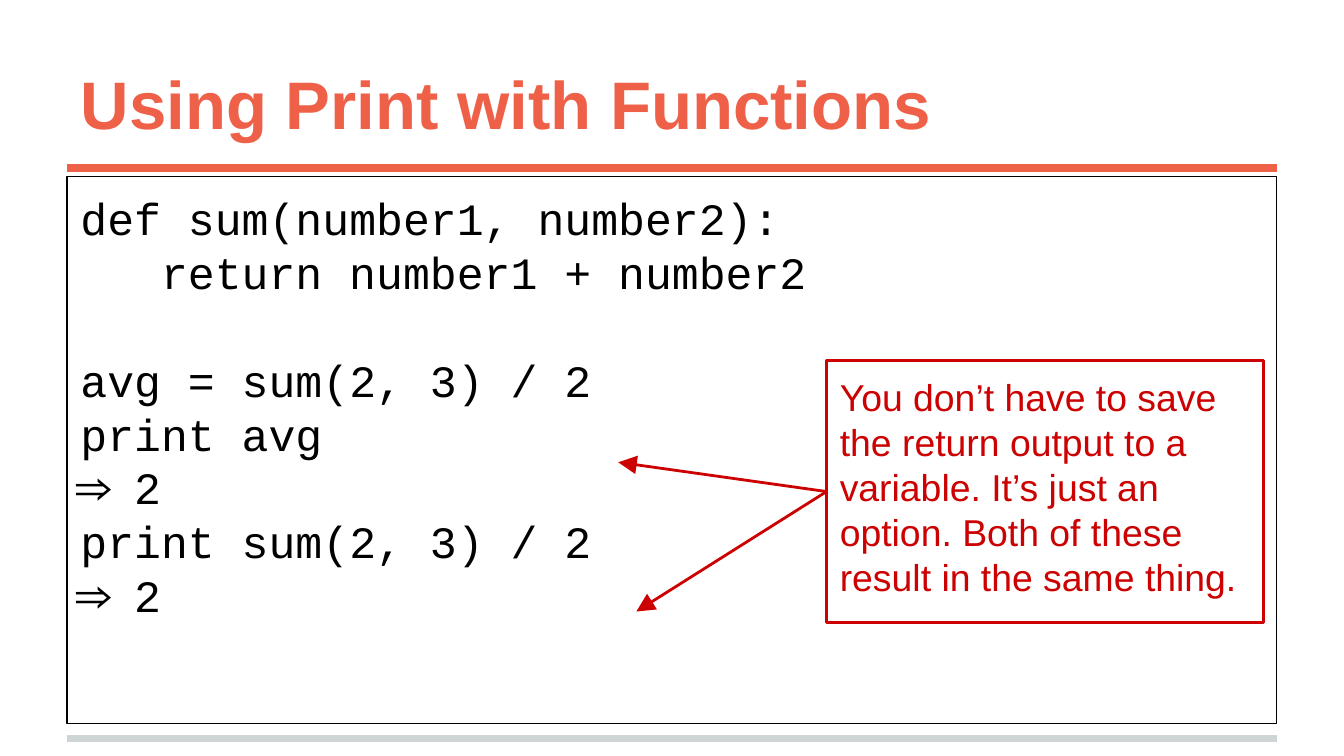
"""Build the slide on using print with functions."""
from dataclasses import dataclass

from lxml import etree
from pptx import Presentation
from pptx.dml.color import RGBColor
from pptx.enum.shapes import MSO_CONNECTOR, MSO_SHAPE
from pptx.enum.text import MSO_ANCHOR, MSO_AUTO_SIZE, PP_ALIGN
from pptx.oxml.ns import qn
from pptx.shapes.autoshape import Shape
from pptx.shapes.connector import Connector
from pptx.slide import Slide
from pptx.text.text import TextFrame
from pptx.util import Emu, Pt

STRAIGHT = MSO_CONNECTOR.STRAIGHT
RECTANGLE = MSO_SHAPE.RECTANGLE
TOP, BOTTOM = MSO_ANCHOR.TOP, MSO_ANCHOR.BOTTOM
NO_AUTOFIT = MSO_AUTO_SIZE.NONE
LEFT = PP_ALIGN.LEFT

EMU_PER_PX = 4572
WIDTH, HEIGHT = 2000, 1125
MARGIN = 100
INSET = 20
LEFT_SITE = 1
CODE_INDENT = 120

CORAL, GRAY, BLACK, RED = "EE6048", "CFD4D4", "000000", "CC0202"


@dataclass(frozen=True)
class Box:
    left: int
    top: int
    width: int
    height: int


@dataclass(frozen=True)
class Style:
    font: str
    size: int
    color: str
    bold: bool = False
    line_points: float | None = None


@dataclass(frozen=True)
class TextLine:
    text: str
    indent: int = 0
    space_before: float = 0


@dataclass(frozen=True)
class Panel:
    box: Box
    border: float
    style: Style
    lines: tuple[TextLine, ...]


TITLE_BOX = Box(MARGIN, 45, WIDTH - 2 * MARGIN, 188)
TITLE_STYLE = Style("Arial", 36, CORAL, bold=True)
CODE_STYLE = Style("Courier New", 24, BLACK, line_points=28.9)
NOTE_STYLE = Style("Arial", 20, RED, line_points=24.1)

CODE = Panel(Box(MARGIN, 263, WIDTH - 2 * MARGIN, 814), 0.75, CODE_STYLE, (
    TextLine("def sum(number1, number2):"),
    TextLine("return number1 + number2", indent=CODE_INDENT),
    TextLine("avg = sum(2, 3) / 2", space_before=CODE_STYLE.line_points),
    TextLine("print avg"),
    TextLine("⇒ 2"),
    TextLine("print sum(2, 3) / 2"),
    TextLine("⇒ 2"),
))
NOTE = Panel(Box(1230, 537, 650, 389), 1.5, NOTE_STYLE, (
    TextLine("You don’t have to save the return output to a variable. "
             "It’s just an option. Both of these result in the same thing."),
))
RULES = ((1099, GRAY), (250, CORAL))
ARROW_TIPS = ((920, 688), (947, 910))


def px(length: int) -> Emu:
    """Turn pixels into EMU."""
    return Emu(length * EMU_PER_PX)


def rgb(color: str) -> RGBColor:
    """Turn a hex string into a colour."""
    return RGBColor.from_string(color)


def place(shape: Shape, box: Box) -> None:
    """Move and size a shape."""
    shape.left, shape.top = px(box.left), px(box.top)
    shape.width, shape.height = px(box.width), px(box.height)


def write(frame: TextFrame, lines: tuple[TextLine, ...], style: Style, anchor: MSO_ANCHOR) -> None:
    """Fill a text frame with styled paragraphs."""
    frame.word_wrap = True
    frame.auto_size = NO_AUTOFIT
    frame.vertical_anchor = anchor
    frame.margin_left = frame.margin_right = px(INSET)
    frame.margin_top = frame.margin_bottom = px(INSET)
    for index, line in enumerate(lines):
        paragraph = frame.add_paragraph() if index else frame.paragraphs[0]
        paragraph.text = line.text
        paragraph.alignment = LEFT
        paragraph.space_before = Pt(line.space_before)
        if style.line_points:
            paragraph.line_spacing = Pt(style.line_points)
        if line.indent:
            paragraph._p.get_or_add_pPr().set("marL", str(px(line.indent)))
        font = paragraph.font
        font.name, font.size, font.bold = style.font, Pt(style.size), style.bold
        font.color.rgb = rgb(style.color)


def add_panel(slide: Slide, panel: Panel) -> Shape:
    """Draw an outlined rectangle with text."""
    shape = slide.shapes.add_shape(RECTANGLE, 0, 0, 0, 0)
    place(shape, panel.box)
    shape.shadow.inherit = False
    shape.fill.background()
    shape.line.color.rgb = rgb(panel.style.color)
    shape.line.width = Pt(panel.border)
    write(shape.text_frame, panel.lines, panel.style, TOP)
    return shape


def add_line(slide: Slide, start: tuple[int, int], end: tuple[int, int],
             color: str, width: float) -> Connector:
    """Draw a straight line without a shadow."""
    line = slide.shapes.add_connector(STRAIGHT, *map(px, start + end))
    line.line.color.rgb = rgb(color)
    line.line.width = Pt(width)
    etree.SubElement(line._element.spPr, qn("a:effectLst"))
    return line


def add_arrow(slide: Slide, source: Shape, tip: tuple[int, int]) -> None:
    """Draw an arrow from the left side of a panel."""
    arrow = add_line(slide, tip, tip, RED, 1.5)
    arrow.begin_connect(source, LEFT_SITE)
    etree.SubElement(arrow.line._get_or_add_ln(), qn("a:tailEnd"),
                     type="triangle", w="lg", len="lg")


def main() -> None:
    """Build and save the presentation."""
    presentation = Presentation()
    presentation.slide_width, presentation.slide_height = px(WIDTH), px(HEIGHT)
    slide = presentation.slides.add_slide(presentation.slide_layouts[5])
    for height, color in RULES:
        add_line(slide, (MARGIN, height), (WIDTH - MARGIN, height), color, 4)
    title = slide.shapes.title
    place(title, TITLE_BOX)
    write(title.text_frame, (TextLine("Using Print with Functions"),), TITLE_STYLE, BOTTOM)
    add_panel(slide, CODE)
    note = add_panel(slide, NOTE)
    for tip in ARROW_TIPS:
        add_arrow(slide, note, tip)
    presentation.save("out.pptx")


if __name__ == "__main__":
    main()
